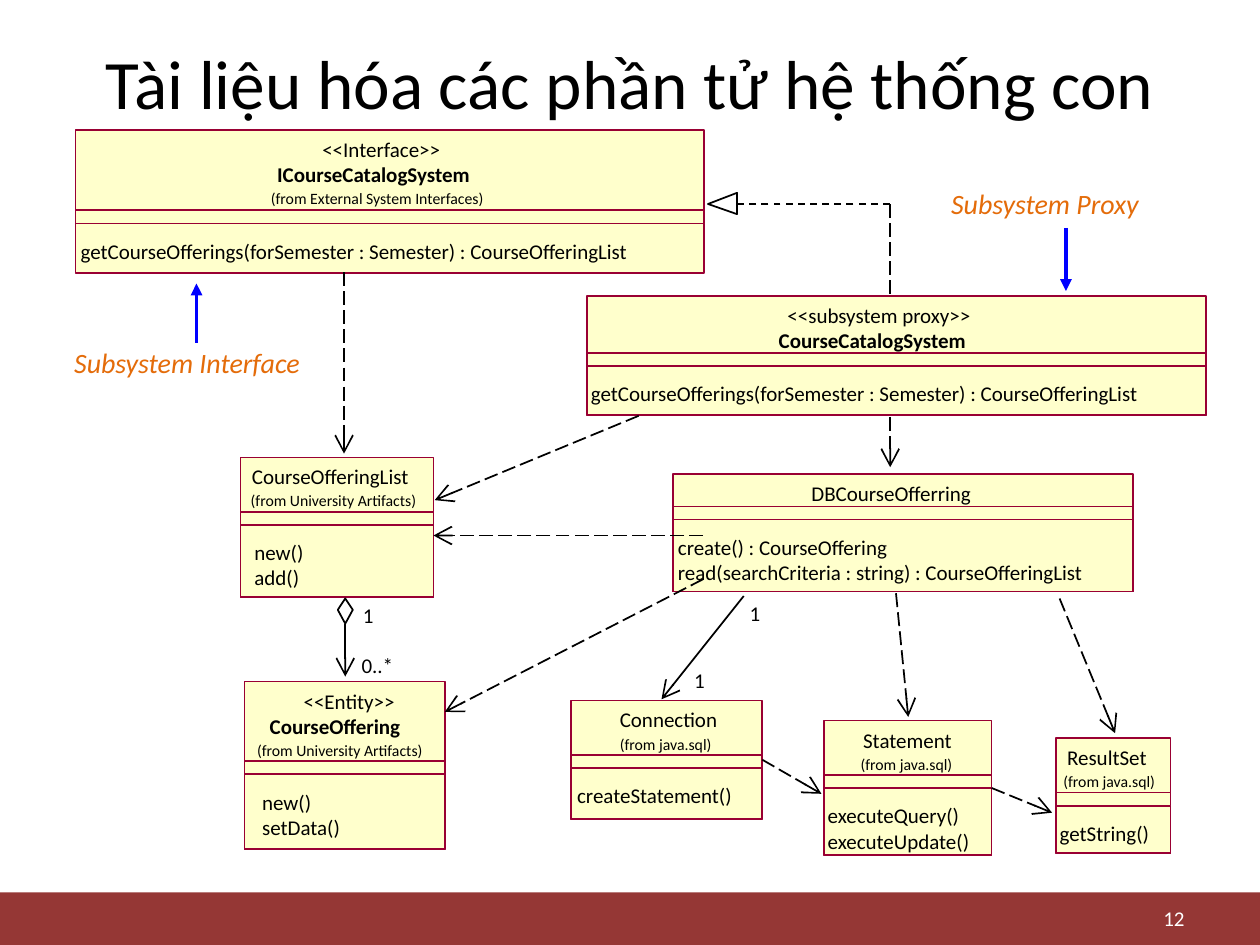
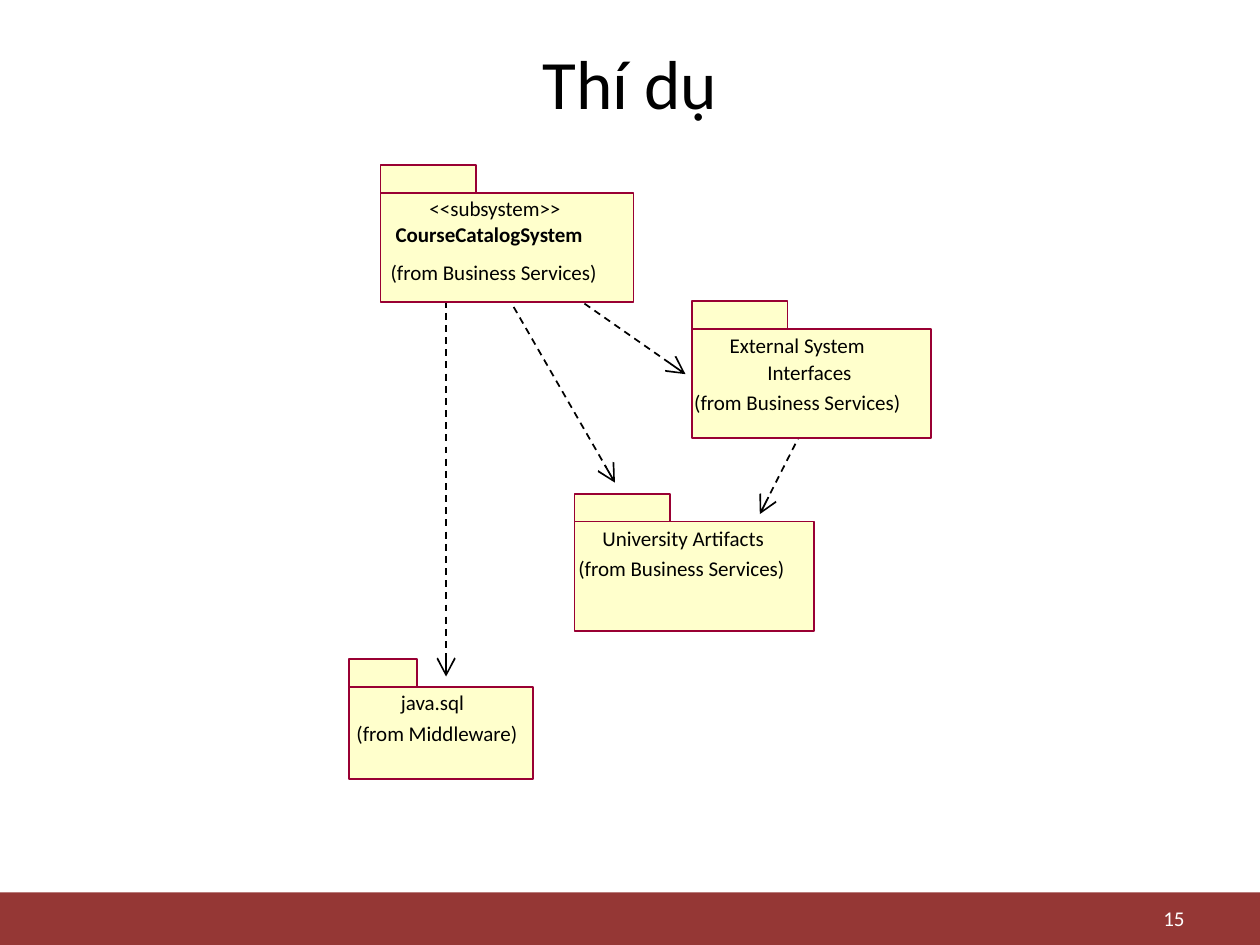
from lxml.etree import SubElement
from pptx import Presentation
from pptx.dml.color import RGBColor
from pptx.enum.dml import MSO_LINE
from pptx.enum.shapes import MSO_CONNECTOR, MSO_SHAPE
from pptx.enum.text import MSO_ANCHOR, MSO_AUTO_SIZE, PP_ALIGN
from pptx.oxml.ns import qn
from pptx.util import Pt

FONT = "Calibri"
BLACK = RGBColor(0, 0, 0)
WHITE = RGBColor(255, 255, 255)
BRICK = RGBColor(0x95, 0x37, 0x35)
CREAM = RGBColor(0xFF, 0xFF, 0xCC)
WINE = RGBColor(0x99, 0x00, 0x33)
ORANGE = RGBColor(0xE4, 0x6C, 0x0A)
BLUE = RGBColor(0, 0, 255)

# Text styles: size, bold
BODY, BOLD, SMALL = (12, False), (12, True), (9, False)
LEAD = 14.4          # line step inside a class
FROM_LEAD = 15.6     # step down to a "(from ...)" line
STRIP = 7.5          # height of the empty attribute strip
TAB = 15.8           # height of a package tab
SLACK = 3            # spare width that keeps a line of text whole
LONG, DASH = MSO_LINE.LONG_DASH, MSO_LINE.DASH

OFFERS = (316, "getCourseOfferings(forSemester : Semester) : CourseOfferingList")

# name: frame, head height, head lines (dx, width, text, style),
#       operation indent, operations (width, text)
CLASSES = {
    "interface": ((43.2, 74.2, 359.3, 81.6), 46, [
        (141, 68.4, "<<Interface>>", BODY),
        (115.2, 110.9, "ICourseCatalogSystem", BOLD),
        (111.6, 123, "(from External System Interfaces)", SMALL)],
        2.9, [OFFERS]),
    "proxy": ((335.5, 169.2, 353.5, 68), 32.4, [
        (114.5, 105.8, "<<subsystem proxy>>", BODY),
        (109.5, 108, "CourseCatalogSystem", BOLD)],
        2.2, [OFFERS]),
    "db": ((384.5, 270.7, 262.8, 67.4), 18.7, [
        (79.2, 92.2, "DBCourseOfferring", BODY)],
        2.9, [(121, "create() : CourseOffering"),
              (233.3, "read(searchCriteria : string) : CourseOfferingList")]),
    "list": ((137.5, 261.4, 110.2, 79.9), 31, [
        (6.5, 90.7, "CourseOfferingList", BODY),
        (5.8, 96.5, "(from University Artifacts)", SMALL)],
        7.9, [(28, "new()"), (26, "add()")]),
    "entity": ((139.7, 389.5, 114.5, 95.8), 45.4, [
        (33.8, 52.6, "<<Entity>>", BODY),
        (14.4, 75.6, "CourseOffering", BOLD),
        (7.2, 96.5, "(from University Artifacts)", SMALL)],
        10.1, [(28, "new()"), (44.6, "setData()")]),
    "connection": ((326.2, 400.3, 109.4, 67.7), 31, [
        (28, 56.2, "Connection", BODY),
        (28, 53.3, "(from java.sql)", SMALL)],
        3.6, [(89.3, "createStatement()")]),
    "statement": ((470.9, 411.8, 95.8, 77), 31, [
        (22.3, 51, "Statement", BODY),
        (20.9, 53.3, "(from java.sql)", SMALL)],
        2.1, [(75.6, "executeQuery()"), (82, "executeUpdate()")]),
    "result": ((603.4, 421.9, 65.5, 65.5), 31, [
        (6.4, 46, "ResultSet", BODY),
        (4.3, 53.3, "(from java.sql)", SMALL)],
        2.1, [(51, "getString()")]),
}

# start, end, dash, arrow
LINKS = [
    ((508.7, 238.3), (508.7, 267), LONG, True),
    ((425, 340.6), (378, 399.6), None, True),
    ((512, 339), (519, 409.7), LONG, True),
    ((401.8, 331), (254.2, 406.8), LONG, True),
    ((196.6, 155.5), (196.6, 259.2), LONG, True),
    ((401.8, 306), (247.7, 306), LONG, True),
    ((605.5, 342), (637.2, 419), LONG, True),
    ((365, 237.6), (248.4, 285.8), LONG, True),
    ((197.3, 356.4), (197.3, 386.6), None, True),
    ((508.5, 116.6), (421.2, 116.6), DASH, False),
    ((508.5, 116.6), (508.5, 168.8), LONG, False),
]
# These leave the middle of a class's right side
SIDE_LINKS = [("connection", (469.4, 453.6)), ("statement", (601.2, 464.4))]

TRIANGLE = [(404.6, 116.6), (421.2, 122.4), (421.2, 110.2)]
DIAMOND = [(197.3, 342), (201.6, 348.5), (197.3, 356.4), (193, 348.5)]
COUNTS = [(396.7, 381.6, 6.5, "1"), (428.4, 343.4, 6.5, "1"),
          (207.4, 344.2, 6.5, "1"), (206.6, 373, 18, "0..*")]
# label box, text, arrow start, arrow end
NOTES = [
    ((536.4, 103, 143.3, 26.6), "Subsystem Proxy", (609.1, 130.3), (609.1, 166.3)),
    ((35.3, 193.7, 173.5, 26.6), "Subsystem Interface", (112.3, 195.8), (112.3, 162)),
]

SERVICES = "(from Business Services)"
# body frame, tab width, lines (dx, dy, width, text, style)
PACKAGES = [
    ((199.4, 392.4, 105.1, 52.6), 38.9, [
        (29.6, 1.5, 36.7, "java.sql", BODY),
        (4.3, 19.5, 92.9, "(from Middleware)", BODY)]),
    ((217.4, 110.2, 144.7, 62.6), 54.7, [
        (28, 1.4, 75.6, "<<subsystem>>", BODY),
        (8.7, 16.5, 108, "CourseCatalogSystem", BOLD),
        (5.8, 38, 119.5, SERVICES, BODY)]),
    ((395.3, 187.9, 136.8, 62.6), 54.7, [
        (21.6, 2.2, 80.6, "External System", BODY),
        (43.2, 17.3, 49, "Interfaces", BODY),
        (1.4, 34.6, 119.5, SERVICES, BODY)]),
    ((328.3, 298, 136.8, 62.6), 54.7, [
        (15.9, 2.2, 93.6, "University Artifacts", BODY),
        (2.2, 19.5, 119.5, SERVICES, BODY)]),
]
# Some of these start behind the package they leave
USES = [((334, 173.5), (391.7, 213.8)), ((286.6, 163.4), (351.4, 275.8)),
        ((460.8, 241.2), (434.2, 293.8)), ((254.9, 164.9), (254.9, 386.6))]


def pts(*nums):
    return [Pt(n) for n in nums]


def write(frame, text, size, color=BLACK, bold=False, slant=False, align=None):
    para = frame.paragraphs[0]
    para.alignment = align
    run = para.add_run()
    run.text = text
    font = run.font
    font.name, font.size, font.color.rgb = FONT, Pt(size), color
    font.bold, font.italic = bold, slant


def add_line(slide, x, y, width, text, style=BODY):
    """Add one unwrapped line of text without insets."""
    size, bold = style
    box = slide.shapes.add_textbox(*pts(x, y, width + SLACK, size * 1.22))
    frame = box.text_frame
    frame.margin_left = frame.margin_right = 0
    frame.margin_top = frame.margin_bottom = 0
    frame.word_wrap = False
    frame.auto_size = MSO_AUTO_SIZE.NONE
    write(frame, text, size, bold=bold, align=PP_ALIGN.LEFT)


def add_box(slide, x, y, w, h, fill=CREAM, edge=WINE):
    box = slide.shapes.add_shape(MSO_SHAPE.RECTANGLE, *pts(x, y, w, h))
    box.shadow.inherit = False
    box.fill.solid()
    box.fill.fore_color.rgb = fill
    if edge is None:
        box.line.fill.background()
    else:
        box.line.color.rgb = edge
        box.line.width = Pt(1)
    return box


def add_link(slide, start, end, dash=None, head="arrow", color=BLACK, width=1):
    link = slide.shapes.add_connector(MSO_CONNECTOR.STRAIGHT, *pts(*start, *end))
    link.line.color.rgb = color
    link.line.width = Pt(width)
    if dash:
        link.line.dash_style = dash
    props = link._element.spPr
    if head:
        size = "lg" if head == "arrow" else "med"
        SubElement(props.find(qn("a:ln")), qn("a:tailEnd"),
                   type=head, w=size, len=size)
    SubElement(props, qn("a:effectLst"))
    return link


def add_outline(slide, points):
    build = slide.shapes.build_freeform(*pts(*points[0]))
    build.add_line_segments([pts(*p) for p in points[1:]], close=True)
    shape = build.convert_to_shape()
    shape.shadow.inherit = False
    shape.fill.background()
    shape.line.color.rgb = BLACK
    shape.line.width = Pt(1)


def add_class(slide, frame, head, names, indent, calls):
    x, y, w, h = frame
    box = add_box(slide, *frame)
    for drop in (head, head + STRIP):
        add_box(slide, x, y + drop, w, h - drop)
    top = y + 3.7
    for i, (dx, width, text, style) in enumerate(names):
        if i:
            top += FROM_LEAD if style == SMALL else LEAD
        add_line(slide, x + dx, top, width, text, style)
    for i, (width, text) in enumerate(calls):
        add_line(slide, x + indent, y + head + 16 + i * LEAD, width, text)
    return box


def add_package(slide, frame, tab, lines):
    x, y = frame[:2]
    add_box(slide, *frame)
    add_box(slide, x, y - TAB, tab, TAB)
    for dx, dy, width, text, style in lines:
        add_line(slide, x + dx, y + dy, width, text, style)


def add_note(slide, frame, text, start, end):
    label = slide.shapes.add_textbox(*pts(*frame)).text_frame
    label.word_wrap = True
    write(label, text, 16, ORANGE, slant=True)
    add_link(slide, start, end, head="triangle", color=BLUE, width=2.25)


def new_slide(deck, title, number):
    slide = deck.slides.add_slide(deck.slide_layouts[5])
    add_box(slide, 0, 510, 720, 30, BRICK, None)
    head = slide.shapes.title
    head.left, head.top, head.width, head.height = pts(36, 21.6, 648, 50.4)
    head.text_frame.vertical_anchor = MSO_ANCHOR.MIDDLE
    head.text_frame.auto_size = MSO_AUTO_SIZE.NONE
    write(head.text_frame, title, 39.6, align=PP_ALIGN.CENTER)
    foot = slide.shapes.add_textbox(*pts(516, 515, 168, 19.4)).text_frame
    foot.word_wrap = True
    foot.vertical_anchor = MSO_ANCHOR.MIDDLE
    write(foot, number, 12, WHITE, align=PP_ALIGN.RIGHT)
    return slide


def draw_classes(deck):
    slide = new_slide(deck, "Tài liệu hóa các phần tử hệ thống con", "12")
    boxes = {name: add_class(slide, *item) for name, item in CLASSES.items()}
    for start, end, dash, arrow in LINKS:
        add_link(slide, start, end, dash, "arrow" if arrow else None)
    for name, end in SIDE_LINKS:
        add_link(slide, end, end, LONG).begin_connect(boxes[name], 3)
    for points in (TRIANGLE, DIAMOND):
        add_outline(slide, points)
    for count in COUNTS:
        add_line(slide, *count)
    for note in NOTES:
        add_note(slide, *note)


def draw_packages(deck):
    slide = new_slide(deck, "Thí dụ", "15")
    for start, end in USES:
        add_link(slide, start, end, DASH)
    for package in PACKAGES:
        add_package(slide, *package)


def main():
    deck = Presentation()
    deck.slide_width, deck.slide_height = pts(720, 540)
    draw_classes(deck)
    draw_packages(deck)
    deck.save("out.pptx")


if __name__ == "__main__":
    main()
